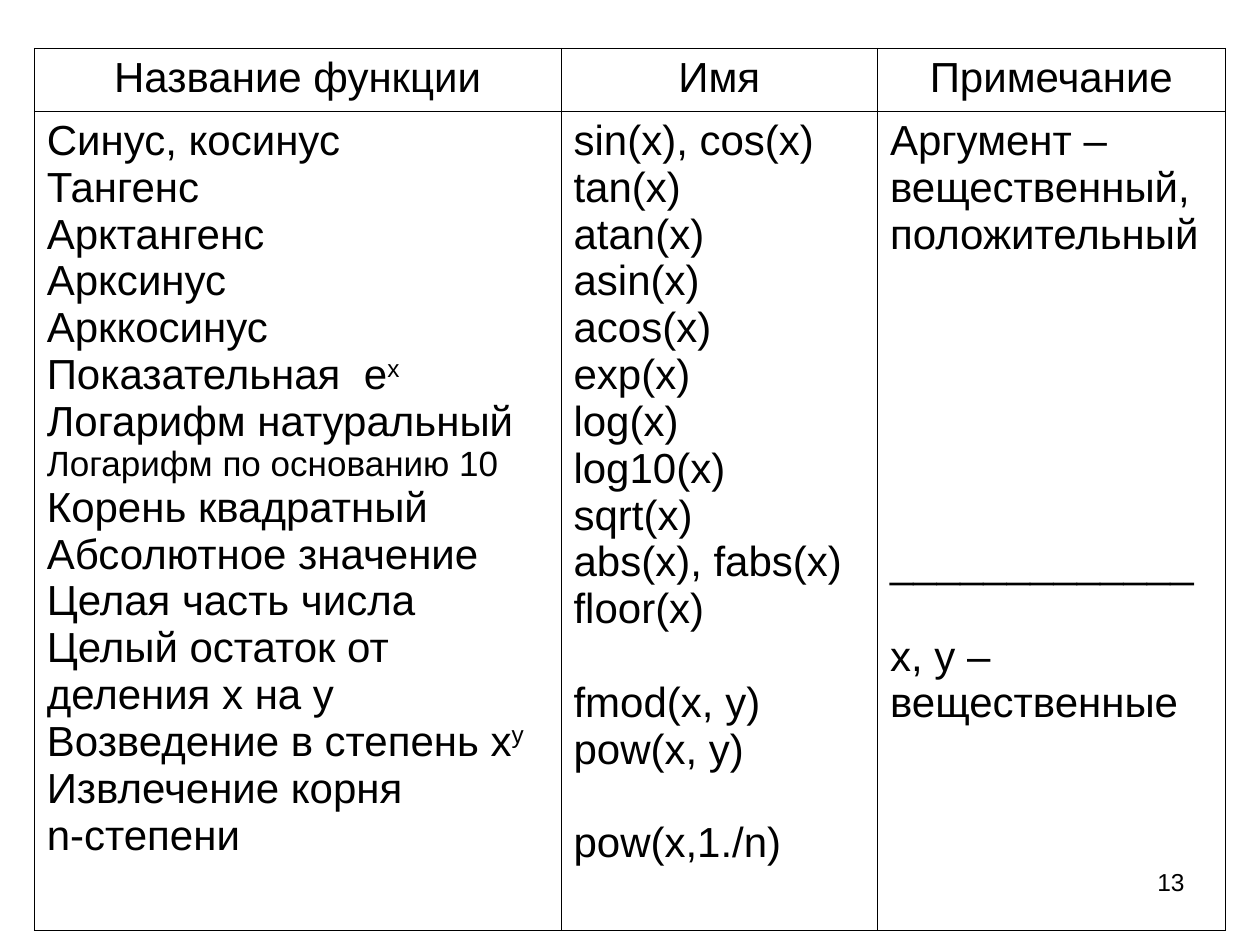
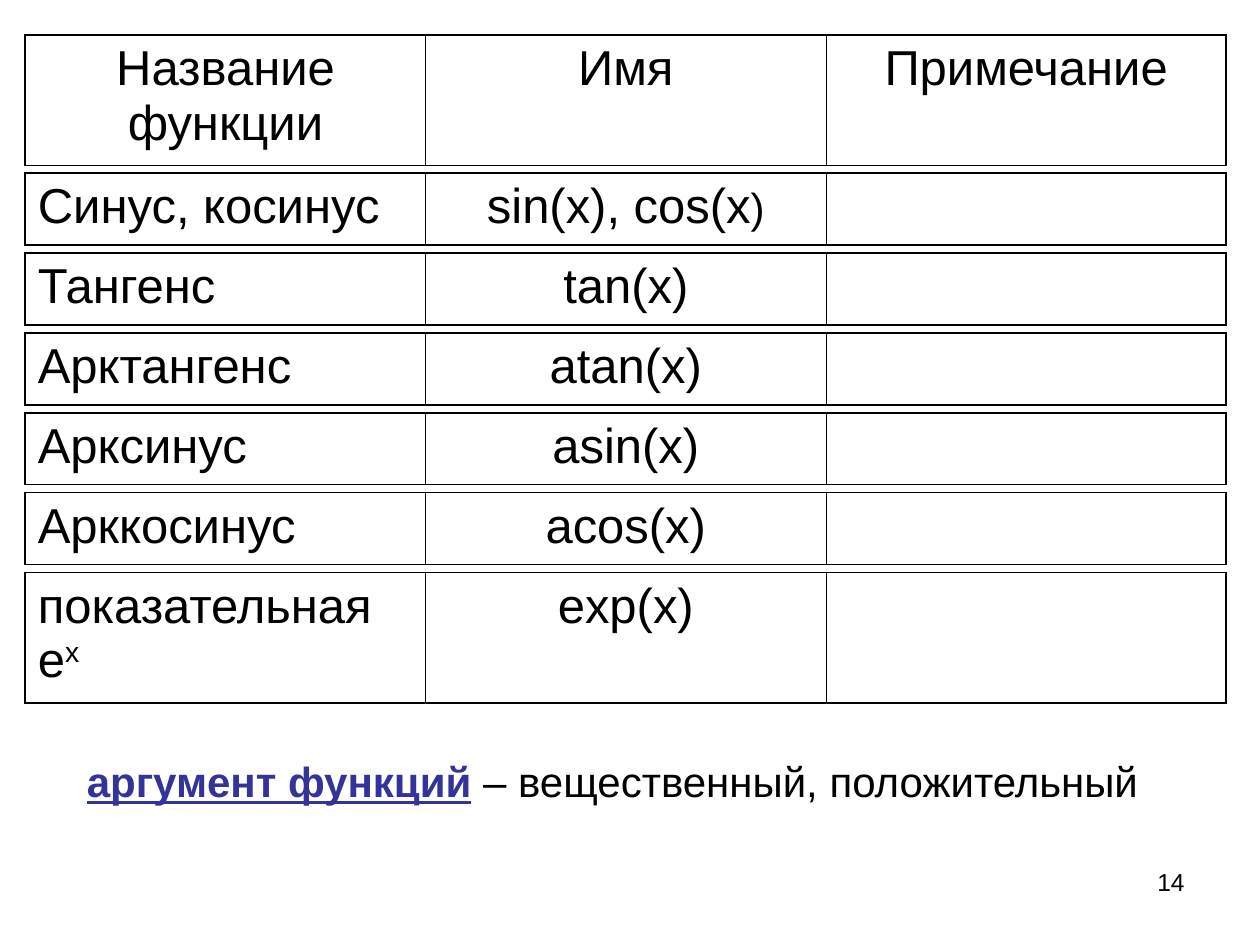
from dataclasses import dataclass, field
from typing import Any, Sequence

from lxml.etree import SubElement
from pptx import Presentation
from pptx.dml.color import RGBColor
from pptx.enum.text import MSO_ANCHOR as Anchor, PP_ALIGN as Align
from pptx.oxml.ns import qn
from pptx.slide import Slide
from pptx.table import _Cell as Cell
from pptx.util import Cm, Pt

COLORS = {"ink": "000000", "term": "333399"}
FONT = "Arial"
LINE_HEIGHT = 1.117  # height of an Arial line relative to its size
THIN, THICK = 0.45, 1.08
HEADINGS = ("Название функции", "Имя", "Примечание")


@dataclass(frozen=True)
class Span:
    text: str
    size: float | None = None
    color: str = "ink"
    raised: bool = False
    style: dict[str, Any] = field(default_factory=dict)


@dataclass(frozen=True)
class Line:
    spans: tuple[Span, ...]
    skipped: int = 0  # lines left free above


@dataclass(frozen=True)
class Place:
    left: float
    top: float
    width: float
    height: float

    def lengths(self) -> tuple[Cm, ...]:
        return tuple(Cm(v) for v in (self.left, self.top, self.width, self.height))


def line(*parts: str | Span, skipped: int = 0) -> Line:
    spans = tuple(p if isinstance(p, Span) else Span(p) for p in parts)
    return Line(spans, skipped)


def raised(text: str) -> Span:
    return Span(text, raised=True)


def write(frame, lines: Sequence[Line], size: float, align: Align = Align.LEFT) -> None:
    for index, entry in enumerate(lines):
        paragraph = frame.paragraphs[0] if index == 0 else frame.add_paragraph()
        paragraph.alignment = align
        if entry.skipped:
            paragraph.space_before = Pt(round(entry.skipped * size * LINE_HEIGHT, 1))
        for span in entry.spans:
            for number, text in enumerate(span.text.split("\n")):
                if number:
                    paragraph.add_line_break()
                run = paragraph.add_run()
                run.text = text
                look = {"name": FONT, "size": Pt(span.size or size), **span.style}
                for attribute, value in look.items():
                    setattr(run.font, attribute, value)
                run.font.color.rgb = RGBColor.from_string(COLORS[span.color])
                if span.raised:
                    run._r.get_or_add_rPr().set("baseline", "30000")


def add_text(slide: Slide, place: Place, content: Line, size: float,
             align: Align = Align.LEFT, anchor: Anchor = Anchor.TOP) -> None:
    frame = slide.shapes.add_textbox(*place.lengths()).text_frame
    frame.word_wrap = True
    frame.vertical_anchor = anchor
    write(frame, [content], size, align)


def set_borders(cell: Cell, widths: dict[str, float]) -> None:
    properties = cell._tc.get_or_add_tcPr()
    for side in "LRTB":
        border = SubElement(properties, qn(f"a:ln{side}"), w=str(int(Pt(widths[side]))))
        fill = SubElement(border, qn("a:solidFill"))
        SubElement(fill, qn("a:srgbClr"), val=COLORS["ink"])


def add_grid(slide: Slide, left: float, top: float, columns: Sequence[float],
             heights: Sequence[float], rows: Sequence[Sequence[Sequence[Line]]],
             aligns: Sequence[Sequence[Align]], size: float, outer: float) -> None:
    """Draw a table of unfilled cells with thin inner and chosen outer borders."""
    place = Place(left, top, sum(columns), sum(heights))
    table = slide.shapes.add_table(len(rows), len(columns), *place.lengths()).table
    table.first_row = table.horz_banding = False
    for column, width in zip(table.columns, columns):
        column.width = Cm(width)
    for row, height in zip(table.rows, heights):
        row.height = Cm(height)
    last_row, last_column = len(rows) - 1, len(columns) - 1
    for r, cells in enumerate(rows):
        for c, lines in enumerate(cells):
            cell = table.cell(r, c)
            set_borders(cell, {
                "L": outer if c == 0 else THIN,
                "R": outer if c == last_column else THIN,
                "T": outer if r == 0 else THIN,
                "B": outer if r == last_row else THIN,
            })
            cell.fill.background()
            write(cell.text_frame, lines, size, aligns[r][c])


def add_page(prs, number: int) -> Slide:
    slide = prs.slides.add_slide(prs.slide_layouts[6])
    add_text(slide, Place(18.21, 17.35, 5.92, 1.32), line(str(number)), 14, Align.RIGHT)
    return slide


def add_function_list(prs) -> None:
    slide = add_page(prs, 13)
    functions = [
        line("Синус, косинус"),
        line("Тангенс"),
        line("Арктангенс"),
        line("Арксинус"),
        line("Арккосинус"),
        line("Показательная  e", raised("x")),
        line("Логарифм натуральный"),
        line(Span("Логарифм по основанию 10", size=20)),
        line("Корень квадратный"),
        line("Абсолютное значение"),
        line("Целая часть числа"),
        line("Целый остаток от деления х на у"),
        line("Возведение в степень x", raised("y")),
        line("Извлечение корня \nn-степени"),
    ]
    calls = [line(call) for call in (
        "sin(x), cos(x)", "tan(x)", "atan(x)", "asin(x)", "acos(x)", "exp(x)",
        "log(x)", "log10(x)", "sqrt(x)", "abs(x), fabs(x)", "floor(x)")]
    calls += [
        line("fmod(x, y)", skipped=1),
        line("pow(x, y)"),
        line("pow(x,1./n)", skipped=1),
    ]
    remarks = [
        line("Аргумент – вещественный, положительный"),
        line("_____________", skipped=6),
        line("x, y – вещественные", skipped=1),
    ]
    add_grid(slide, 0.69, 0.97, (10.62, 6.38, 7.01), (1.27, 16.51),
             [[[line(text)] for text in HEADINGS], [functions, calls, remarks]],
             [[Align.CENTER] * 3, [Align.LEFT] * 3], size=24, outer=THIN)


def add_function_strips(prs) -> None:
    slide = add_page(prs, 14)
    low, high, gap = 1.45, 2.62, 0.16
    centered = [Align.CENTER] * 3
    body = [Align.LEFT, Align.CENTER, Align.CENTER]
    strips = [
        (high, [[line(text)] for text in HEADINGS], centered),
        (low, [[line("Синус, косинус")],
               [line("sin(x), cos(x", Span(")", size=24))], []], body),
    ]
    strips += [(low, [[line(name)], [line(call)], []], body) for name, call in (
        ("Тангенс", "tan(x)"), ("Арктангенс", "atan(x)"),
        ("Арксинус", "asin(x)"), ("Арккосинус", "acos(x)"))]
    strips.append(
        (high, [[line("показательная е", raised("х"))], [line("exp(x)")], []], body))

    top = 0.71
    for height, cells, aligns in strips:
        add_grid(slide, 0.51, top, [8.07] * 3, [height], [cells], [aligns],
                 size=28, outer=THICK)
        top += height + gap

    term = Span("аргумент функций", color="term", style={"bold": True, "underline": True})
    add_text(slide, Place(1.5, 15.11, 23.8, 1.27),
             line(term, " – вещественный, положительный"), 24, anchor=Anchor.MIDDLE)


def main() -> None:
    prs = Presentation()
    prs.slide_width, prs.slide_height = Cm(25.4), Cm(19.05)
    add_function_list(prs)
    add_function_strips(prs)
    prs.save("out.pptx")


if __name__ == "__main__":
    main()
